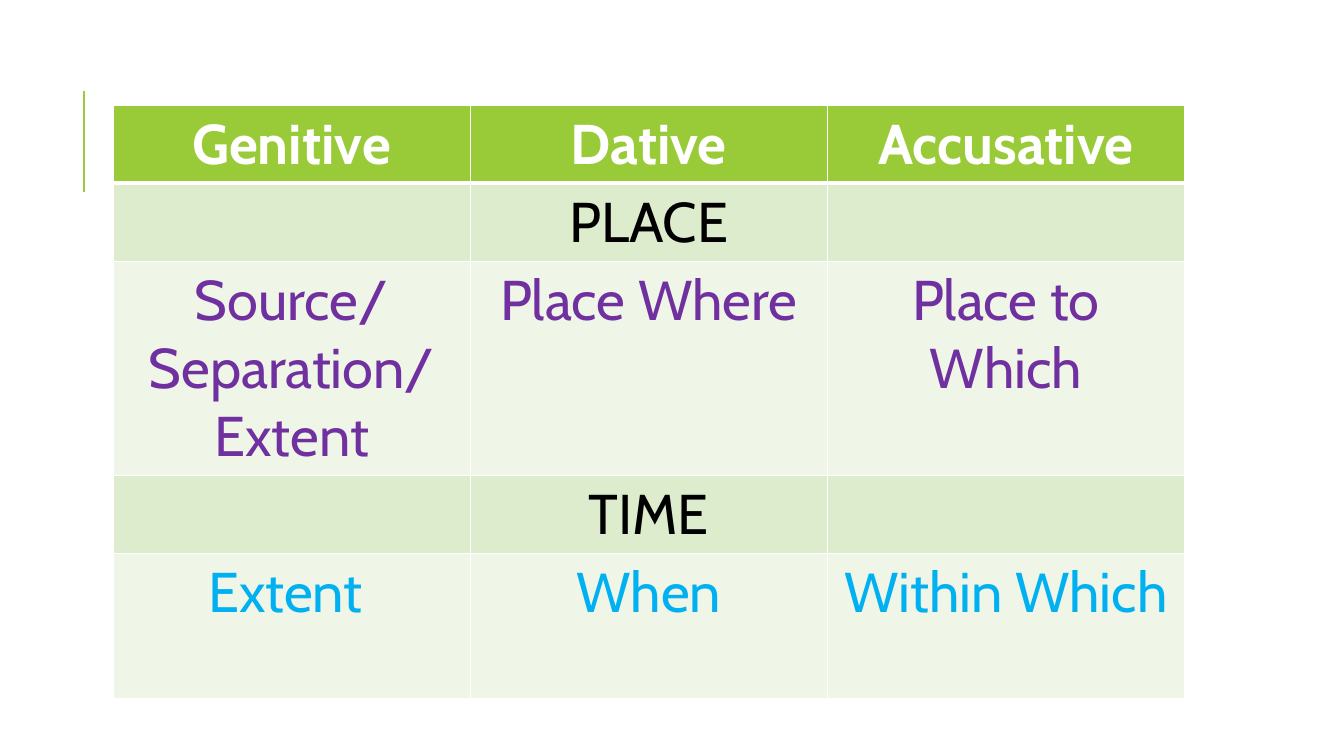
"""Builds a slide with a table of Greek case uses for place and time."""
import lxml.etree
import pptx
import pptx.dml.color
import pptx.enum.shapes
import pptx.enum.text
import pptx.oxml.ns
import pptx.util

Cm = pptx.util.Cm
Pt = pptx.util.Pt
RGBColor = pptx.dml.color.RGBColor
qn = pptx.oxml.ns.qn

GREEN = RGBColor(0x99, 0xCB, 0x38)
BAND_GREEN = RGBColor(0xDE, 0xEC, 0xCE)
PALE_GREEN = RGBColor(0xEF, 0xF6, 0xE8)
WHITE = RGBColor(0xFF, 0xFF, 0xFF)
BLACK = RGBColor(0x00, 0x00, 0x00)
PURPLE = RGBColor(0x70, 0x30, 0xA0)
BLUE = RGBColor(0x00, 0xB0, 0xF0)


def write_text(frame, text, color, bold=False, size=40, font="Cabin"):
    frame.text = text
    for paragraph in frame.paragraphs:
        paragraph.alignment = pptx.enum.text.PP_ALIGN.CENTER
        for run in paragraph.runs:
            run.font.name = font
            run.font.size = Pt(size)
            run.font.bold = bold
            run.font.color.rgb = color


def add_border(cell, side, width):
    properties = cell._tc.get_or_add_tcPr()
    border = lxml.etree.SubElement(properties, qn(f"a:ln{side}"), w=str(Pt(width)))
    fill = lxml.etree.SubElement(border, qn("a:solidFill"))
    lxml.etree.SubElement(fill, qn("a:srgbClr"), val=str(WHITE))


presentation = pptx.Presentation()
presentation.slide_width = Cm(33.87)
presentation.slide_height = Cm(19.05)
slide = presentation.slides.add_slide(presentation.slide_layouts[6])

accent = slide.shapes.add_connector(
    pptx.enum.shapes.MSO_CONNECTOR.STRAIGHT, Cm(2.12), Cm(4.83), Cm(2.12), Cm(2.29))
accent.line.color.rgb = GREEN
accent.line.width = Pt(1.5)
lxml.etree.SubElement(accent._element.spPr, qn("a:effectLst"))

case_rows = [
    (1.95, GREEN, WHITE, ["Genitive", "Dative", "Accusative"]),
    (1.97, BAND_GREEN, BLACK, ["", "PLACE", ""]),
    (5.4, PALE_GREEN, PURPLE,
     ["Source/\nSeparation/\vExtent", "Place Where", "Place to Which"]),
    (1.97, BAND_GREEN, BLACK, ["", "TIME", ""]),
    (3.65, PALE_GREEN, BLUE, ["Extent ", "When", "Within Which"]),
]
total_height = sum(height for height, *_ in case_rows)
cases = slide.shapes.add_table(
    len(case_rows), 3, Cm(2.85), Cm(2.65), Cm(27), Cm(total_height)).table
for column in cases.columns:
    column.width = Cm(9)

for row, (height, fill_color, text_color, words) in enumerate(case_rows):
    cases.rows[row].height = Cm(height)
    for column, word in enumerate(words):
        cell = cases.cell(row, column)
        for side in "LRTB":
            below_header = (row, side) in [(0, "B"), (1, "T")]
            add_border(cell, side, 3 if below_header else 1)
        cell.fill.solid()
        cell.fill.fore_color.rgb = fill_color
        if word:
            write_text(cell.text_frame, word, text_color, bold=row == 0)

presentation.save("out.pptx")
